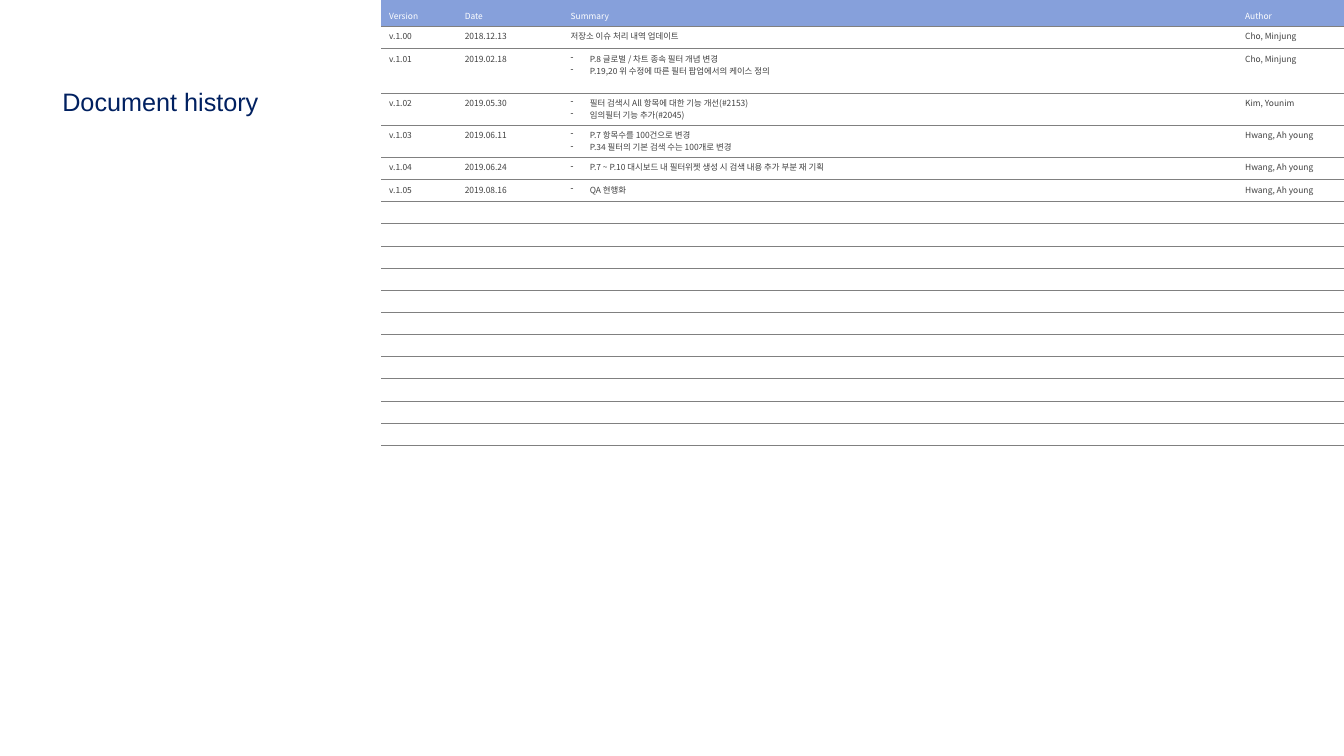
from dataclasses import dataclass

from lxml.etree import SubElement
from pptx import Presentation
from pptx.dml.color import RGBColor
from pptx.enum.text import MSO_ANCHOR as Anchor
from pptx.oxml import parse_xml
from pptx.oxml.ns import nsdecls, qn
from pptx.util import Inches, Pt


@dataclass(frozen=True)
class Theme:
    title_font: str = "Arial"
    table_font: str = "Noto Sans CJK KR"
    title_size: float = 18
    table_size: float = 6
    title_color: str = "002060"
    header_fill: str = "86A0DB"
    header_text: str = "FFFFFF"
    body_fill: str = "FFFFFF"
    body_text: str = "404040"
    rule_color: str = "808080"
    rule_width: float = 0.25


THEME = Theme()
PLAIN_STYLE = "{2D5ABB26-0587-4C30-8999-92F81FD0307C}"

HEADER = ("Version", "Date", "Summary", "Author")
# A string is a plain summary; a list is a bulleted one.
HISTORY = [
    ("v.1.00", "2018.12.13", "저장소 이슈 처리 내역 업데이트", "Cho, Minjung"),
    ("v.1.01", "2019.02.18",
     ["P.8 글로벌 / 차트 종속 필터 개념 변경",
      "P.19,20 위 수정에 따른 필터 팝업에서의 케이스 정의"], "Cho, Minjung"),
    ("v.1.02", "2019.05.30",
     ["필터 검색시 All 항목에 대한 기능 개선(#2153)",
      "임의필터 기능 추가(#2045)"], "Kim, Younim"),
    ("v.1.03", "2019.06.11",
     ["P.7 항목수를 100건으로 변경",
      "P.34 필터의 기본 검색 수는 100개로 변경"], "Hwang, Ah young"),
    ("v.1.04", "2019.06.24",
     ["P.7 ~ P.10 대시보드 내 필터위젯 생성 시 검색 내용 추가 부분 재 기획"],
     "Hwang, Ah young"),
    ("v.1.05", "2019.08.16", ["QA 현행화"], "Hwang, Ah young"),
]
EMPTY_ROWS = 11
COLUMN_WIDTHS = (0.75, 1.05, 6.69, 1.07)
ROW_HEIGHT = 0.22
TALL_ROWS = {0: 0.26, 2: 0.44, 3: 0.32, 4: 0.32}


def style_span(span, font, size, color):
    span.font.name = font
    span.font.size = Pt(size)
    span.font.color.rgb = RGBColor.from_string(color)
    SubElement(span.font._element, qn("a:ea"), typeface=font)


def add_title(page, text):
    box = page.shapes.add_textbox(Inches(0.52), Inches(0.85), Inches(11.5), Inches(0.36))
    frame = box.text_frame
    frame.word_wrap = True
    frame.vertical_anchor = Anchor.MIDDLE
    frame.text = text
    para = frame.paragraphs[0]
    para.line_spacing = 0.9
    style_span(para.runs[0], THEME.title_font, THEME.title_size, THEME.title_color)


def add_dash(para):
    properties = para._p.get_or_add_pPr()
    properties.set("marL", str(Inches(0.19)))
    properties.set("indent", str(-Inches(0.19)))
    SubElement(properties, qn("a:buChar"), char="-")


def add_bottom_rule(cell):
    rule = parse_xml(
        f'<a:lnB {nsdecls("a")} w="{Pt(THEME.rule_width)}"><a:solidFill>'
        f'<a:srgbClr val="{THEME.rule_color}"/></a:solidFill></a:lnB>')
    cell._tc.get_or_add_tcPr().insert(0, rule)


def fill_cell(cell, content, fill, color, line_spacing=None):
    cell.margin_left = cell.margin_right = Inches(0.08)
    cell.margin_top = cell.margin_bottom = Inches(0.04)
    cell.fill.solid()
    cell.fill.fore_color.rgb = RGBColor.from_string(fill)
    add_bottom_rule(cell)
    bulleted = isinstance(content, list)
    cell.text_frame.text = "\n".join(content) if bulleted else content
    for para in cell.text_frame.paragraphs:
        if bulleted:
            add_dash(para)
        if line_spacing:
            para.line_spacing = line_spacing
        for span in para.runs:
            style_span(span, THEME.table_font, THEME.table_size, color)
        if not para.runs:
            # Small type keeps an empty row at its set height
            SubElement(para._p, qn("a:endParaRPr"), sz=str(int(THEME.table_size * 100)))


def add_history_table(page):
    rows = [HEADER, *HISTORY, *[("",) * len(HEADER)] * EMPTY_ROWS]
    heights = [TALL_ROWS.get(index, ROW_HEIGHT) for index in range(len(rows))]
    frame = page.shapes.add_table(
        len(rows), len(HEADER), Inches(3.78), 0,
        Inches(sum(COLUMN_WIDTHS)), Inches(sum(heights)))
    table = frame.table
    table.horz_banding = False
    table._tbl.tblPr.find(qn("a:tableStyleId")).text = PLAIN_STYLE
    for column, width in zip(table.columns, COLUMN_WIDTHS):
        column.width = Inches(width)
    for row, height in zip(table.rows, heights):
        row.height = Inches(height)

    for index, (row, contents) in enumerate(zip(table.rows, rows)):
        for cell, content in zip(row.cells, contents):
            if index == 0:
                fill_cell(cell, content, THEME.header_fill, THEME.header_text, 1.5)
            else:
                fill_cell(cell, content, THEME.body_fill, THEME.body_text)


def main():
    deck = Presentation()
    deck.slide_width, deck.slide_height = Inches(13.33), Inches(7.5)
    page = deck.slides.add_slide(deck.slide_layouts[6])
    add_history_table(page)
    add_title(page, "Document history")
    deck.save("out.pptx")


if __name__ == "__main__":
    main()
